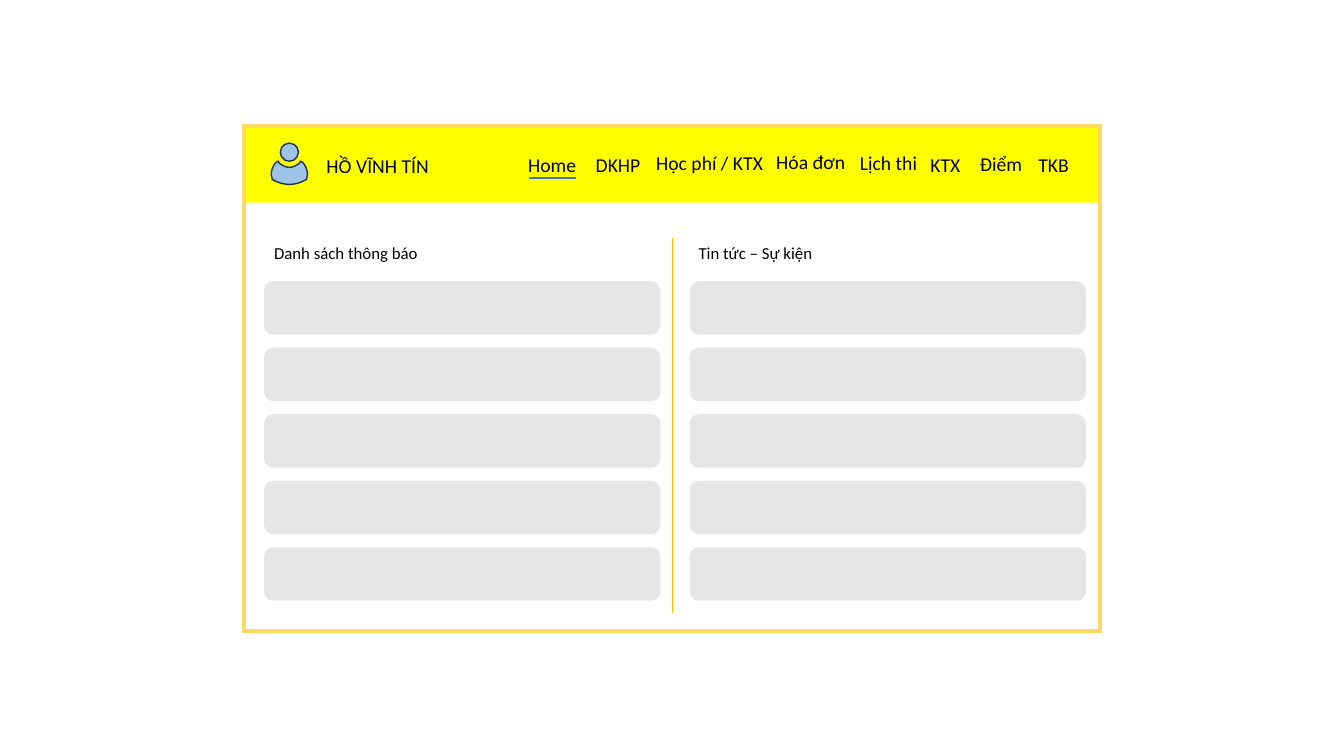
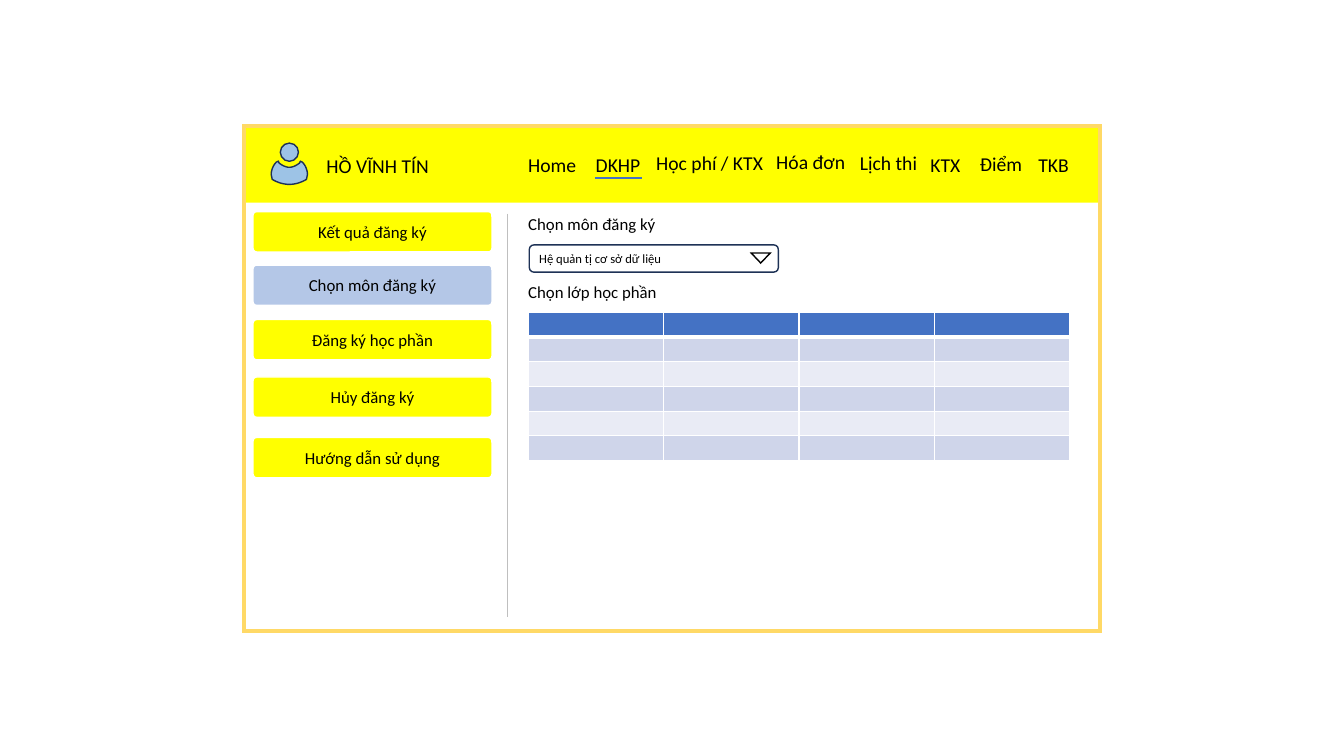
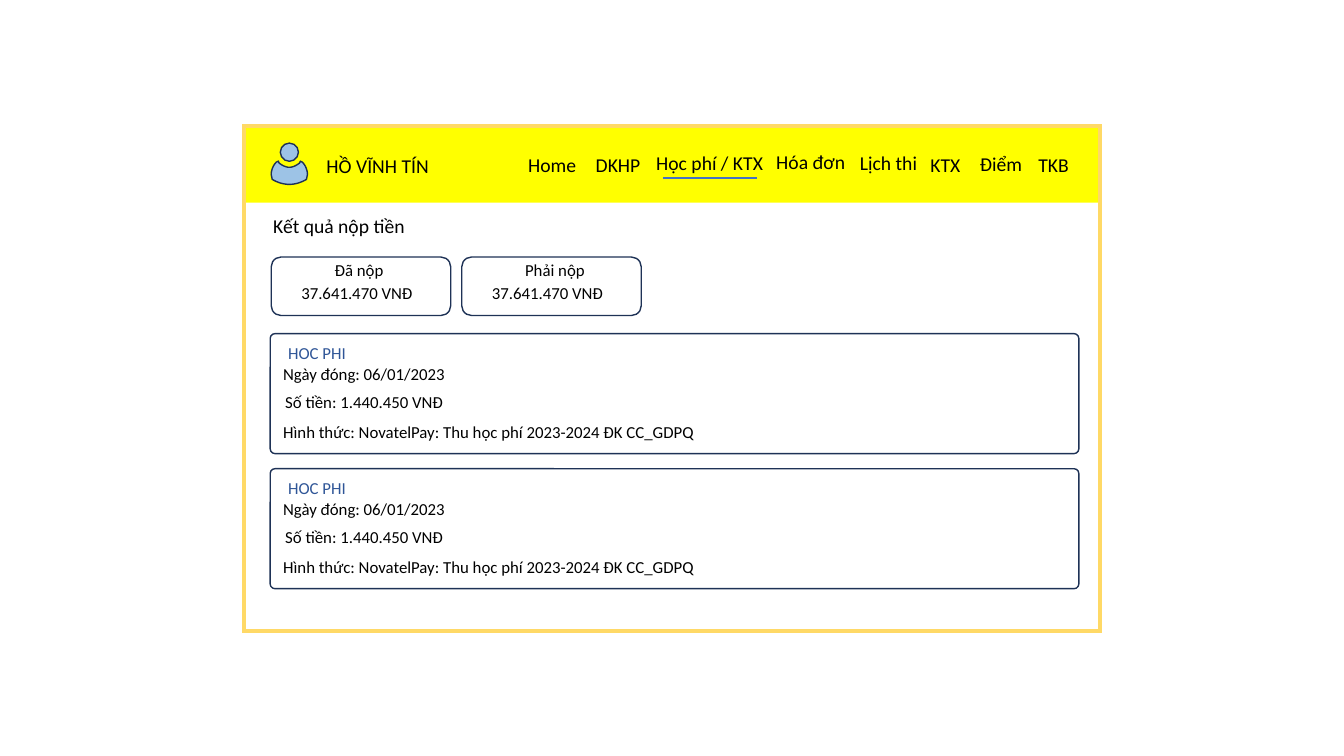
from dataclasses import dataclass

from lxml import etree
from pptx import Presentation
from pptx import util as u
from pptx.dml.color import RGBColor
from pptx.enum import shapes, text
from pptx.oxml.ns import qn


@dataclass(frozen=True)
class Theme:
    font: str = "Calibri"
    large: int = 14
    normal: int = 12
    small: int = 9
    black: str = "000000"
    white: str = "FFFFFF"
    yellow: str = "FFFF00"
    frame: str = "FFD966"
    gold: str = "FFC000"
    gray: str = "BFBFBF"
    panel: str = "E7E6E6"
    navy: str = "1E3256"
    link: str = "2F5597"
    accent: str = "4472C4"
    icon: str = "9DC3E6"
    active: str = "B4C7E7"
    band_dark: str = "CFD5EA"
    band_light: str = "E9EBF5"


T = Theme()
MSO = shapes.MSO_SHAPE
NAV = [
    ("Home", 5.14, 1.47, 0.68), ("DKHP", 5.81, 1.47, 0.65),
    ("Học phí / KTX", 6.41, 1.45, 1.27), ("Hóa đơn", 7.6, 1.44, 0.89),
    ("Lịch thi", 8.43, 1.45, 0.78), ("KTX", 9.13, 1.47, 0.5),
    ("Điểm", 9.62, 1.46, 0.62), ("TKB", 10.2, 1.47, 0.51),
]
MENU = [
    ("Kết quả đăng ký", 2.1), ("Chọn môn đăng ký", 2.63),
    ("Đăng ký học phần", 3.17), ("Hủy đăng ký", 3.74),
    ("Hướng dẫn sử dụng", 4.34),
]
PAYMENT = [
    ("HOC PHI", 0.08, 0.04, 0.78, T.link),
    ("Ngày đóng: 06/01/2023", 0.03, 0.25, 1.83, T.black),
    ("Số tiền: 1.440.450 VNĐ", 0.05, 0.53, 1.79, T.black),
    ("Hình thức: NovatelPay: Thu học phí 2023-2024 ĐK CC_GDPQ",
     0.03, 0.82, 4.35, T.black),
]


def rgb(color):
    return RGBColor.from_string(color)


def inches(*values):
    return [u.Inches(v) for v in values]


def write(sp, content, size=T.normal, color=T.black, wrap=False,
          align=text.PP_ALIGN.LEFT, anchor=text.MSO_ANCHOR.TOP):
    tf = sp.text_frame
    tf.word_wrap = wrap
    tf.vertical_anchor = anchor
    p = tf.paragraphs[0]
    p.alignment = align
    r = p.add_run()
    r.text = content
    r.font.name = T.font
    r.font.size = u.Pt(size)
    r.font.color.rgb = rgb(color)


def label(s, content, x, y, w, h=0.3, **fmt):
    sp = s.shapes.add_textbox(*inches(x, y, w, h))
    sp.text_frame.auto_size = text.MSO_AUTO_SIZE.SHAPE_TO_FIT_TEXT
    write(sp, content, **fmt)


def paint(sp, fill=None, line=None, width=1):
    sp.shadow.inherit = False
    if fill:
        sp.fill.solid()
        sp.fill.fore_color.rgb = rgb(fill)
    else:
        sp.fill.background()
    if line:
        sp.line.color.rgb = rgb(line)
        sp.line.width = u.Pt(width)
        ln = sp._element.spPr.find(qn("a:ln"))
        etree.SubElement(ln, qn("a:miter"), lim="800000")
    else:
        sp.line.fill.background()


def box(s, kind, x, y, w, h, radius=None, **look):
    sp = s.shapes.add_shape(kind, *inches(x, y, w, h))
    if radius is not None:
        sp.adjustments[0] = radius
    paint(sp, **look)
    return sp


def rule(s, x1, y1, x2, y2, color, width):
    cn = s.shapes.add_connector(shapes.MSO_CONNECTOR.STRAIGHT,
                                *inches(x1, y1, x2, y2))
    cn.line.color.rgb = rgb(color)
    cn.line.width = u.Pt(width)
    etree.SubElement(cn._element.spPr, qn("a:effectLst"))


def curve(a, b, c, d, steps=8):
    for i in range(1, steps + 1):
        t = i / steps
        yield tuple((1 - t) ** 3 * k + 3 * (1 - t) ** 2 * t * m
                    + 3 * (1 - t) * t * t * n + t ** 3 * o
                    for k, m, n, o in zip(a, b, c, d))


def user_icon(s):
    box(s, MSO.OVAL, 2.78, 1.42, 0.18, 0.18, fill=T.icon, line=T.navy)
    points = [
        (2.76, 1.6), (2.77, 1.62),
        *curve((2.77, 1.62), (2.8, 1.64), (2.83, 1.66), (2.87, 1.66)),
        *curve((2.87, 1.66), (2.91, 1.66), (2.94, 1.64), (2.97, 1.62)),
        (2.98, 1.6), (3, 1.61),
        *curve((3, 1.61), (3.03, 1.64), (3.05, 1.69), (3.05, 1.73)),
        (3.04, 1.78),
        *curve((3.04, 1.78), (2.99, 1.81), (2.93, 1.83), (2.87, 1.83)),
        *curve((2.87, 1.83), (2.81, 1.83), (2.75, 1.81), (2.7, 1.78)),
        (2.69, 1.73),
        *curve((2.69, 1.73), (2.69, 1.69), (2.71, 1.64), (2.74, 1.61)),
    ]
    points = [inches(*pt) for pt in points]
    fb = s.shapes.build_freeform(*points[0])
    fb.add_line_segments(points[1:], close=True)
    paint(fb.convert_to_shape(), fill=T.icon, line=T.navy)


def add_page(prs, layout, underline):
    s = prs.slides.add_slide(prs.slide_layouts[layout])
    box(s, MSO.RECTANGLE, 2.42, 1.25, 8.49, 0.76, fill=T.yellow)
    box(s, MSO.RECTANGLE, 2.42, 1.25, 8.49, 5.01, line=T.frame, width=3)
    user_icon(s)
    label(s, "HỒ VĨNH TÍN", 3.14, 1.48, 1.26, 0.34, size=T.large, wrap=True)
    for name, x, y, w in NAV:
        label(s, name, x, y, w, 0.34, size=T.large)
    start, end = underline
    rule(s, start, 1.77, end, 1.77, T.accent, 1.5)
    return s


def set_title(s, content, x, y, w, h):
    sp = s.shapes.title
    sp.left, sp.top, sp.width, sp.height = inches(x, y, w, h)
    sp.text_frame.auto_size = text.MSO_AUTO_SIZE.NONE
    write(sp, content, size=T.large)


def cell_border(cell, side, width):
    ln = etree.SubElement(cell._tc.get_or_add_tcPr(), qn(f"a:{side}"),
                          w=str(u.Pt(width)))
    fill = etree.SubElement(ln, qn("a:solidFill"))
    etree.SubElement(fill, qn("a:srgbClr"), val=T.white)


def class_table(s, x, y, w, h, rows=6, cols=4):
    table = s.shapes.add_table(rows, cols, *inches(x, y, w, h)).table
    for i in range(rows):
        color = T.accent if i == 0 else (T.band_light, T.band_dark)[i % 2]
        for cell in table.rows[i].cells:
            for side in ("lnL", "lnR", "lnT", "lnB"):
                thick = (i, side) in ((0, "lnB"), (1, "lnT"))
                cell_border(cell, side, 3 if thick else 1)
            cell.fill.solid()
            cell.fill.fore_color.rgb = rgb(color)
            end = cell.text_frame.paragraphs[0]._p.get_or_add_endParaRPr()
            end.set("sz", "800")


def amount_card(s, x, caption, caption_width):
    box(s, MSO.ROUNDED_RECTANGLE, x, 2.55, 1.78, 0.58, line=T.navy)
    label(s, caption, x + 0.53, 2.53, caption_width)
    label(s, "37.641.470 VNĐ", x + 0.2, 2.76, 1.36)


def payment_card(s, x, y):
    box(s, MSO.ROUNDED_RECTANGLE, x, y, 8.02, 1.19, 0.04, line=T.navy)
    for content, dx, dy, w, color in PAYMENT:
        label(s, content, x + dx, y + dy, w, color=color)


def home_page(prs):
    s = add_page(prs, 6, (5.25, 5.71))
    columns = [("Danh sách thông báo", 2.62, 2.62, 1.87),
               ("Tin tức – Sự kiện", 6.83, 6.84, 1.34)]
    for heading, x, panel_x, w in columns:
        label(s, heading, x, 2.36, w, wrap=True)
        for i in range(5):
            box(s, MSO.ROUNDED_RECTANGLE, panel_x, 2.79 + 0.66 * i,
                3.93, 0.53, fill=T.panel)
    rule(s, 6.67, 2.36, 6.67, 6.08, T.gold, 0.5)


def registration_page(prs):
    s = add_page(prs, 6, (5.9, 6.37))
    for name, y in MENU:
        fill = T.active if name == "Chọn môn đăng ký" else T.yellow
        sp = box(s, MSO.ROUNDED_RECTANGLE, 2.51, y, 2.37, 0.4, 0.09,
                 fill=fill, line=T.white)
        write(sp, name, wrap=True, align=text.PP_ALIGN.CENTER,
              anchor=text.MSO_ANCHOR.MIDDLE)
    rule(s, 5.03, 2.12, 5.03, 6.12, T.gray, 0.5)
    label(s, "Chọn môn đăng ký", 5.14, 2.07, 1.52, wrap=True)
    box(s, MSO.ROUNDED_RECTANGLE, 5.25, 2.43, 2.47, 0.27, line=T.navy)
    box(s, MSO.FLOWCHART_MERGE, 7.45, 2.51, 0.19, 0.1, line=T.black)
    label(s, "Hệ quản tị cơ sở dữ liệu", 5.25, 2.44, 2.17, 0.25,
          size=T.small, wrap=True)
    label(s, "Chọn lớp học phần", 5.14, 2.75, 1.52, wrap=True)
    class_table(s, 5.24, 3.1, 5.37, 1.47)


def tuition_page(prs):
    s = add_page(prs, 5, (6.58, 7.51))
    set_title(s, "Kết quả nộp tiền", 2.61, 2.07, 1.52, 0.34)
    amount_card(s, 2.69, "Đã nộp", 0.69)
    amount_card(s, 4.58, "Phải nộp", 0.8)
    for y in (3.31, 4.65):
        payment_card(s, 2.68, y)


def main():
    prs = Presentation()
    prs.slide_width, prs.slide_height = inches(13.33, 7.5)
    home_page(prs)
    registration_page(prs)
    tuition_page(prs)
    prs.save("out.pptx")


if __name__ == "__main__":
    main()
